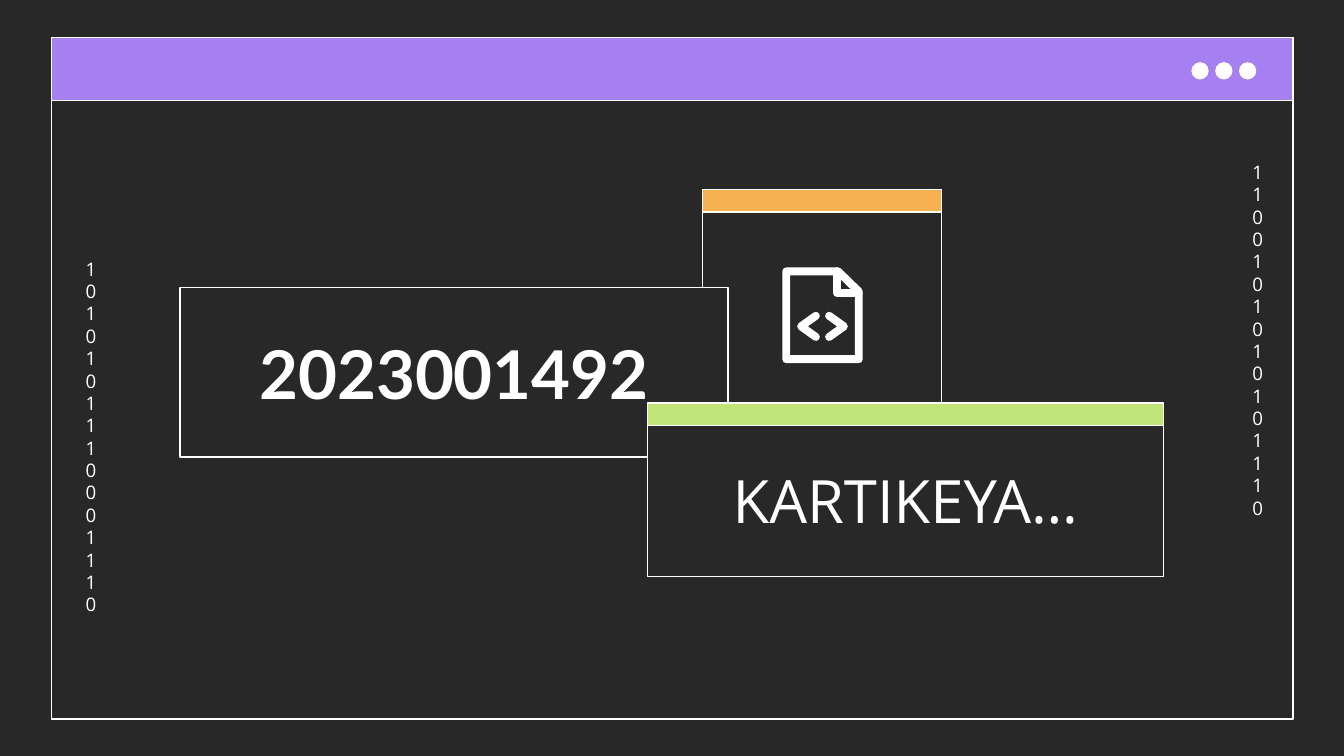
import pptx
import pptx.util
import pptx.dml.color
import pptx.enum.shapes
import pptx.enum.text
import lxml.etree
from pptx.util import Cm, Pt

COLORS = {
    "dark": "292828",
    "white": "FFFFFF",
    "purple": "A67FF1",
    "orange": "F5B150",
    "green": "C0E67A",
}
MSO = pptx.enum.shapes.MSO_SHAPE
CENTER = pptx.enum.text.PP_ALIGN.CENTER


def paint(sp, fill, width=0.75):
    """Give a shape a plain fill (None for no fill) and a white outline."""
    if fill:
        sp.fill.solid()
        sp.fill.fore_color.rgb = pptx.dml.color.RGBColor.from_string(COLORS[fill])
    else:
        sp.fill.background()
    sp.line.color.rgb = pptx.dml.color.RGBColor.from_string(COLORS["white"])
    sp.line.width = Pt(width)


def write(tf, lines, font, size, bold=False):
    """Fill a text frame with centred white paragraphs."""
    tf.word_wrap = True
    tf.auto_size = pptx.enum.text.MSO_AUTO_SIZE.NONE
    tf.margin_left = tf.margin_right = tf.margin_top = tf.margin_bottom = Cm(0.25)
    tf.text = "\n".join(lines)
    for p in tf.paragraphs:
        p.alignment = CENTER
        p.space_before = Pt(0)
        p.font.name = font
        p.font.size = Pt(size)
        p.font.bold = bold
        p.font.color.rgb = pptx.dml.color.RGBColor.from_string(COLORS["white"])


prs = pptx.Presentation()
prs.slide_width, prs.slide_height = Cm(25.4), Cm(14.29)
s = prs.slides.add_slide(prs.slide_layouts[0])
s.background.fill.solid()
s.background.fill.fore_color.rgb = pptx.dml.color.RGBColor.from_string(COLORS["dark"])
title, subtitle = s.placeholders

# Browser window, its dots, and the card behind the title
for kind, fill, *box in [
    (MSO.RECTANGLE, None, 0.97, 0.71, 23.47, 12.88),
    (MSO.RECTANGLE, "purple", 0.97, 0.71, 23.47, 1.19),
    *[(MSO.OVAL, "white", 22.53 + 0.45 * i, 1.19, 0.3, 0.3) for i in range(3)],
    (MSO.RECTANGLE, "dark", 13.28, 3.58, 4.52, 4.52),
    (MSO.RECTANGLE, "orange", 13.28, 3.58, 4.52, 0.43),
]:
    sp = s.shapes.add_shape(kind, *map(Cm, box))
    sp.shadow.inherit = False
    paint(sp, fill)

# Binary digits: the narrow boxes wrap after every digit
for left, top, lines in [
    (23.42, 2.79, ["1100101010101110"]),
    (1.37, 4.62, ["101010111000111", "0"]),
]:
    tf = s.shapes.add_textbox(Cm(left), Cm(top), Cm(0.61), Cm(7.11)).text_frame
    write(tf, lines, "Open Sans", 10)
    for p in tf.paragraphs:
        p.line_spacing = Pt(12)

# Title and subtitle, raised above the card
for sp, box, text, font, size, bold in [
    (title, (3.4, 5.44, 10.36, 3.2), "2023001492", "Lato", 36, True),
    (subtitle, (12.24, 8, 9.75, 2.9), "KARTIKEYA…", "Open Sans", 32, False),
]:
    sp.left, sp.top, sp.width, sp.height = map(Cm, box)
    paint(sp, "dark")
    write(sp.text_frame, [text], font, size, bold)
    sp.text_frame.vertical_anchor = pptx.enum.text.MSO_ANCHOR.MIDDLE
    s.shapes._spTree.append(sp._element)

sp = s.shapes.add_shape(MSO.RECTANGLE, Cm(12.24), Cm(7.62), Cm(9.75), Cm(0.43))
sp.shadow.inherit = False
paint(sp, "green")

# Code file icon: page, folded corner, two chevrons
for points, closed in [
    ([(14.86, 5.13), (15.84, 5.13), (16.23, 5.51), (16.23, 6.79), (14.86, 6.79)], True),
    ([(15.82, 5.13), (15.82, 5.54), (16.23, 5.54)], False),
    ([(15.42, 5.97), (15.14, 6.17), (15.42, 6.37)], False),
    ([(15.67, 5.97), (15.95, 6.17), (15.67, 6.37)], False),
]:
    points = [(Cm(x), Cm(y)) for x, y in points]
    builder = s.shapes.build_freeform(*points[0])
    builder.add_line_segments(points[1:], close=closed)
    sp = builder.convert_to_shape()
    sp.shadow.inherit = False
    paint(sp, None, 4.25)
    ln = sp.line._get_or_add_ln()
    ln.set("cap", "rnd")
    lxml.etree.SubElement(ln, pptx.oxml.ns.qn("a:round"))

prs.save("out.pptx")
